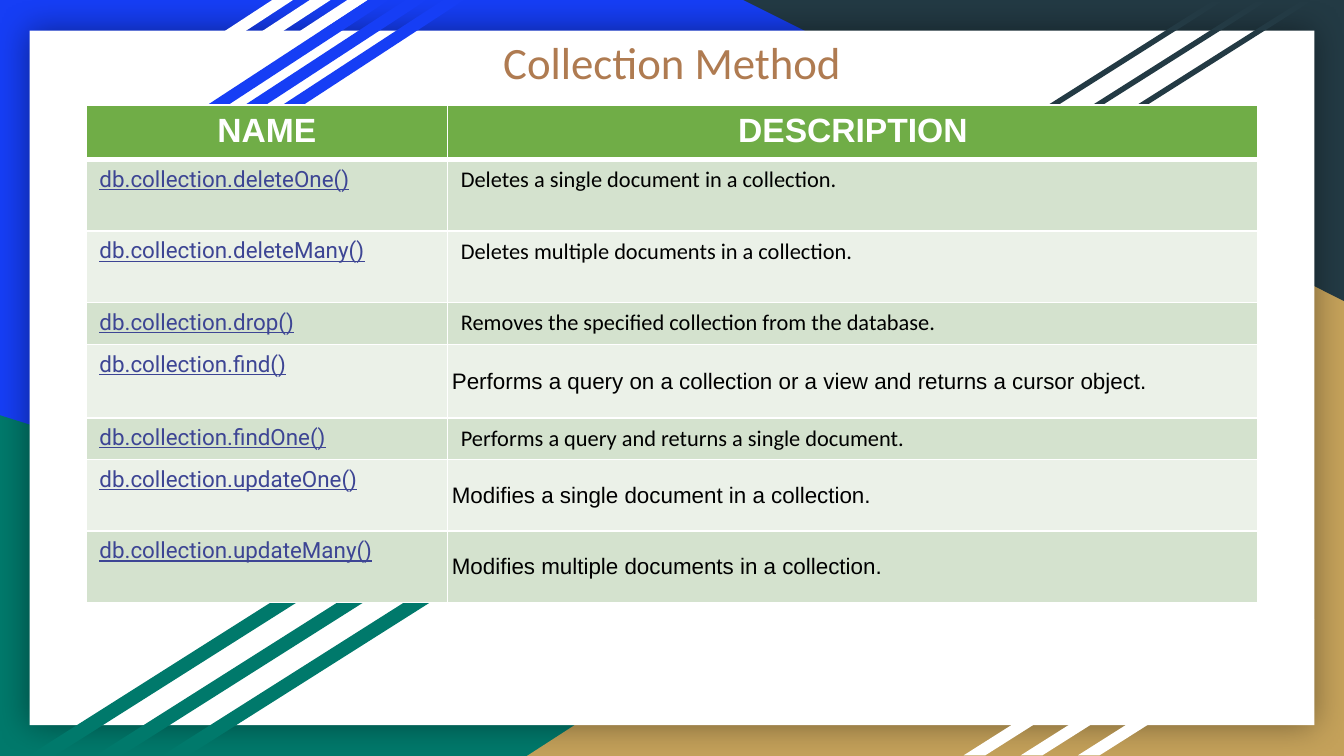
"""Builds the slide listing collection methods and their descriptions."""
from dataclasses import dataclass
from typing import Any

import pptx
import pptx.dml.color
import pptx.enum.shapes
import pptx.enum.text
import pptx.oxml
import pptx.oxml.ns
import pptx.util

Cm = pptx.util.Cm
Pt = pptx.util.Pt
RGB = pptx.dml.color.RGBColor.from_string
Preset = pptx.enum.shapes.MSO_SHAPE
Anchor = pptx.enum.text.MSO_ANCHOR
Align = pptx.enum.text.PP_ALIGN


@dataclass(frozen=True)
class Theme:
    blue: str = "163EF5"
    green: str = "00796B"
    gold: str = "C4A15A"
    slate: str = "233A44"
    white: str = "FFFFFF"
    black: str = "000000"
    title: str = "AF7B51"
    method: str = "3D4594"
    header: str = "70AD47"
    bands: tuple[str, str] = ("D4E2CE", "EBF1E8")
    title_size: float = 24
    header_size: float = 18
    body_size: float = 12
    rule: float = 1
    header_rule: float = 3


@dataclass(frozen=True)
class Box:
    left: float
    top: float
    width: float
    height: float

    def lengths(self) -> tuple[int, int, int, int]:
        return Cm(self.left), Cm(self.top), Cm(self.width), Cm(self.height)


@dataclass(frozen=True)
class Corner:
    box: Box
    color: str
    rotation: float = 0
    flipped: bool = False


@dataclass(frozen=True)
class Stripes:
    first: Box
    step: float
    slant: float
    color: str


@dataclass(frozen=True)
class Method:
    name: str
    description: str
    height: float = 1.35
    inset: bool = True


@dataclass(frozen=True)
class Style:
    font: str
    size: float
    color: str
    bold: bool = False
    underline: bool = False


THEME = Theme()
CORNERS = [
    Corner(Box(0, 7.85, 20.47, 6.44), THEME.green),
    Corner(Box(9.96, 4.32, 15.44, 9.97), THEME.gold, flipped=True),
    Corner(Box(14.05, 0, 11.35, 5.69), THEME.slate, rotation=180),
]
STRIPES = [
    Stripes(Box(2.13, 0, 4.83, 2.9), 0.71, 1.53, THEME.white),
    Stripes(Box(3.94, 0, 4.83, 2.9), 0.71, 1.53, THEME.blue),
    Stripes(Box(21.29, 0.03, 3.48, 2.08), 0.84, 1.58, THEME.slate),
    Stripes(Box(20.37, 11.71, 4.47, 2.57), 1.08, 1.58, THEME.white),
    Stripes(Box(3.07, 11.28, 5.23, 3), 1.26, 1.58, THEME.green),
]
METHODS = [
    Method("deleteOne", "Deletes a single document in a collection."),
    Method("deleteMany", "Deletes multiple documents in a collection."),
    Method("drop", "Removes the specified collection from the database.", 0.79),
    Method("find", "Performs a query on a collection or a view and returns a cursor object.", 1.39, False),
    Method("findOne", "Performs a query and returns a single document.", 0.79),
    Method("updateOne", "Modifies a single document in a collection.", inset=False),
    Method("updateMany", "Modifies multiple documents in a collection.", inset=False),
]
HEADER_HEIGHT = 1.04
COLUMNS = (6.83, 15.32)


def add_plain(slide: Any, preset: Any, box: Box, color: str) -> Any:
    shape = slide.shapes.add_shape(preset, *box.lengths())
    shape.shadow.inherit = False
    shape.fill.solid()
    shape.fill.fore_color.rgb = RGB(color)
    shape.line.fill.background()
    return shape


def add_corner(slide: Any, corner: Corner) -> None:
    shape = add_plain(slide, Preset.RIGHT_TRIANGLE, corner.box, corner.color)
    shape.rotation = corner.rotation
    if corner.flipped:
        shape.element.spPr.find(pptx.oxml.ns.qn("a:xfrm")).set("flipH", "1")


def add_panel(slide: Any) -> None:
    panel = add_plain(slide, Preset.RECTANGLE, Box(0.56, 0.58, 24.28, 13.13), THEME.white)
    effects = panel.element.spPr.find(pptx.oxml.ns.qn("a:effectLst"))
    effects.append(pptx.oxml.parse_xml(
        f'<a:outerShdw {pptx.oxml.ns.nsdecls("a")} blurRad="{Pt(18)}" dist="0" dir="0" algn="ctr" rotWithShape="0">'
        f'<a:srgbClr val="{THEME.black}"><a:alpha val="40000"/></a:srgbClr></a:outerShdw>'))


def add_stripes(slide: Any, stripes: Stripes) -> None:
    first = stripes.first
    for index in range(3):
        box = Box(first.left - index * stripes.step, first.top, first.width, first.height)
        stripe = add_plain(slide, Preset.PARALLELOGRAM, box, stripes.color)
        stripe.adjustments[0] = stripes.slant


def write(paragraph: Any, text: str, style: Style, align: Any = Align.LEFT) -> None:
    paragraph.alignment = align
    run = paragraph.add_run()
    run.text = text
    run.font.name = style.font
    run.font.size = Pt(style.size)
    run.font.bold = style.bold
    run.font.underline = style.underline
    run.font.color.rgb = RGB(style.color)


def place_title(slide: Any) -> None:
    title = slide.shapes.title
    title.element.getparent().append(title.element)
    title.left, title.top, title.width, title.height = Box(5.26, 0.51, 14.88, 1.45).lengths()
    frame = title.text_frame
    frame.auto_size = pptx.enum.text.MSO_AUTO_SIZE.NONE
    frame.vertical_anchor = Anchor.MIDDLE
    frame.margin_left = frame.margin_right = frame.margin_top = frame.margin_bottom = Cm(0.25)
    frame.paragraphs[0].line_spacing = 0.9
    write(frame.paragraphs[0], "Collection Method", Style("Calibri", THEME.title_size, THEME.title), Align.CENTER)


def dress_cell(cell: Any, color: str, top: float, bottom: float, inset: bool = True) -> None:
    cell.fill.solid()
    cell.fill.fore_color.rgb = RGB(color)
    cell.vertical_anchor = Anchor.TOP if inset else Anchor.MIDDLE
    cell.margin_left = cell.margin_right = Cm(0.25 if inset else 0.08)
    cell.margin_top = cell.margin_bottom = Cm(0.13 if inset else 0.15)
    properties = cell._tc.get_or_add_tcPr()
    widths = {"L": THEME.rule, "R": THEME.rule, "T": top, "B": bottom}
    for index, (side, width) in enumerate(widths.items()):
        properties.insert(index, pptx.oxml.parse_xml(
            f'<a:ln{side} {pptx.oxml.ns.nsdecls("a")} w="{Pt(width)}">'
            f'<a:solidFill><a:srgbClr val="{THEME.white}"/></a:solidFill></a:ln{side}>'))


def add_methods(slide: Any) -> None:
    heights = [HEADER_HEIGHT] + [method.height for method in METHODS]
    box = Box(1.63, 1.98, sum(COLUMNS), sum(heights))
    table = slide.shapes.add_table(len(heights), len(COLUMNS), *box.lengths()).table
    table.first_row = table.horz_banding = False
    for column, width in zip(table.columns, COLUMNS):
        column.width = Cm(width)
    for row, height in zip(table.rows, heights):
        row.height = Cm(height)
    heading = Style("Arial", THEME.header_size, THEME.white, bold=True)
    for index, label in enumerate(("NAME", "DESCRIPTION")):
        cell = table.cell(0, index)
        dress_cell(cell, THEME.header, THEME.rule, THEME.header_rule)
        write(cell.text_frame.paragraphs[0], label, heading, Align.CENTER)
    name_style = Style("Roboto", THEME.body_size, THEME.method, underline=True)
    for index, method in enumerate(METHODS):
        name, description = table.rows[index + 1].cells
        band = THEME.bands[index % 2]
        top = THEME.rule if index else THEME.header_rule
        dress_cell(name, band, top, THEME.rule)
        dress_cell(description, band, top, THEME.rule, method.inset)
        write(name.text_frame.paragraphs[0], f"db.collection.{method.name}()", name_style)
        font = "Calibri" if method.inset else "Arial"
        write(description.text_frame.paragraphs[0], method.description, Style(font, THEME.body_size, THEME.black))


def main() -> None:
    deck = pptx.Presentation()
    deck.slide_width, deck.slide_height = Cm(25.4), Cm(14.29)
    slide = deck.slides.add_slide(deck.slide_layouts[5])
    slide.background.fill.solid()
    slide.background.fill.fore_color.rgb = RGB(THEME.blue)
    for corner in CORNERS:
        add_corner(slide, corner)
    add_panel(slide)
    for stripes in STRIPES:
        add_stripes(slide, stripes)
    place_title(slide)
    add_methods(slide)
    deck.save("out.pptx")


main()
